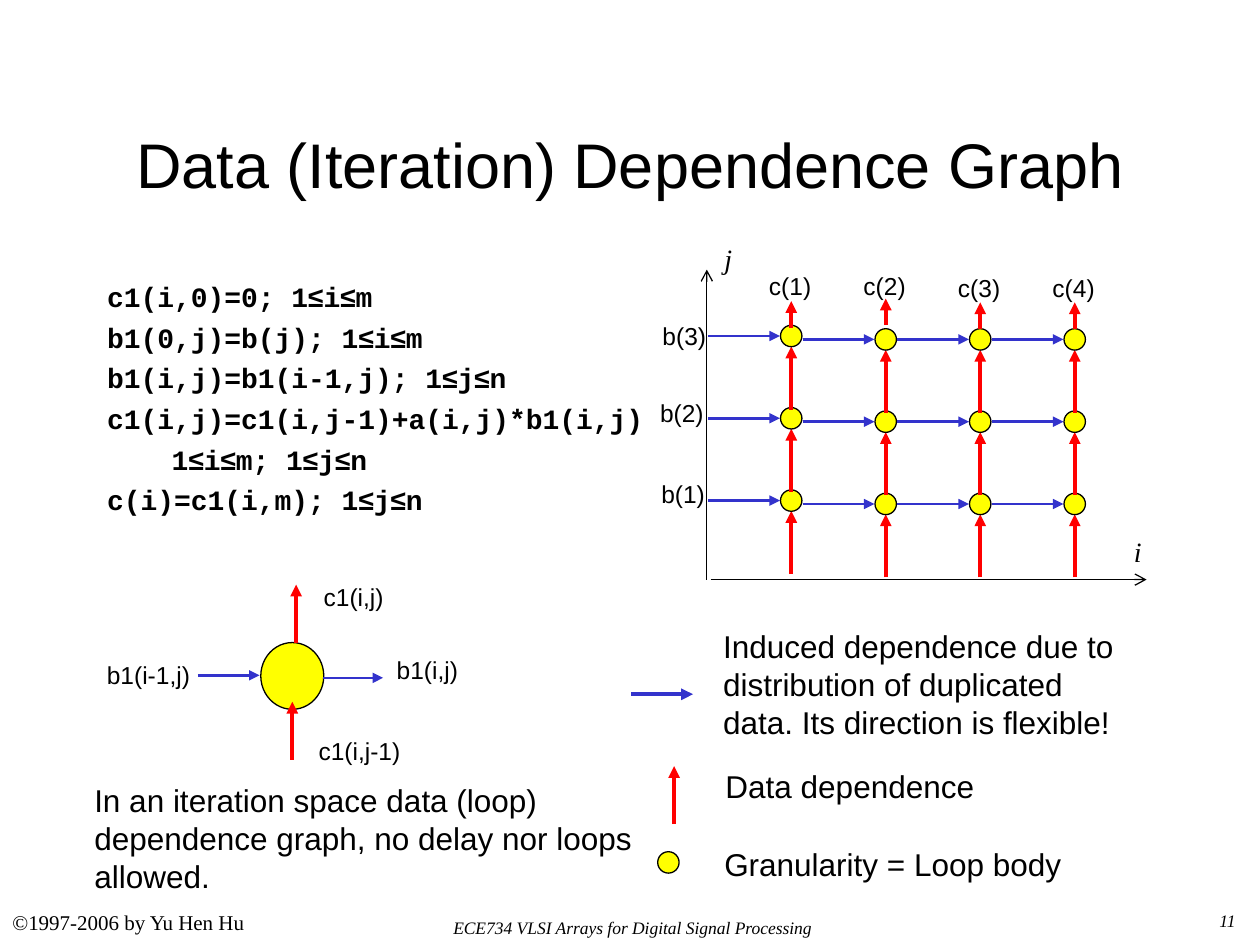
from itertools import groupby

from lxml.etree import SubElement
from pptx import Presentation
from pptx.dml.color import RGBColor as Rgb
from pptx.enum.shapes import MSO_CONNECTOR as Conn, MSO_SHAPE as Kind
from pptx.enum.text import MSO_ANCHOR as Anchor, MSO_AUTO_SIZE as Auto, PP_ALIGN as Align
from pptx.oxml.ns import qn
from pptx.util import Inches, Pt

# The slide is a grid of 100 columns and 75 rows.
COLS, ROWS = 100, 75
CELL = Inches(0.1)
BLACK, BLUE, RED, YELLOW = "000000", "3333CC", "FF0000", "FFFF00"
SERIF = "Times New Roman"
NODE = 1.7
STEP_X, STEP_Y = 7.5, 6.53

CODE = [
    "c1(i,0)=0; 1≤i≤m",
    "b1(0,j)=b(j); 1≤i≤m",
    "b1(i,j)=b1(i-1,j); 1≤j≤n",
    "c1(i,j)=c1(i,j-1)+a(i,j)*b1(i,j)",
    "\t 1≤i≤m; 1≤j≤n",
    "c(i)=c1(i,m); 1≤j≤n",
]


def grid(*cells):
    return [round(n * CELL) for n in cells]


def color(code):
    return Rgb.from_string(code)


def write(frame, lines, size=14, font="Arial", bold=False, italic=False,
          align=Align.LEFT, anchor=Anchor.TOP, wrap=True, before=0):
    """Fill a text frame, one paragraph a line; the sign ≤ is always in Arial."""
    frame.auto_size = Auto.NONE
    frame.word_wrap = wrap
    frame.vertical_anchor = anchor
    for n, line in enumerate(lines):
        para = frame.add_paragraph() if n else frame.paragraphs[0]
        para.alignment = align
        para.space_before = Pt(before)
        for sign, chars in groupby(line, lambda c: c == "≤"):
            run = para.add_run()
            run.text = "".join(chars)
            face = run.font
            face.name = "Arial" if sign else font
            face.size, face.bold, face.italic = Pt(size), bold, italic
            face.color.rgb = color(BLACK)


def label(shapes, x, y, w, h, *lines, **style):
    write(shapes.add_textbox(*grid(x, y, w, h)).text_frame, lines, **style)


def holder(shape, x, y, w, h, lines, **style):
    shape.left, shape.top, shape.width, shape.height = grid(x, y, w, h)
    write(shape.text_frame, lines, **style)


def hang(frame, indent):
    """Drop the bullets and set a hanging indent."""
    for para in frame.paragraphs:
        props = para._p.get_or_add_pPr()
        props.set("marL", str(indent))
        props.set("indent", str(-indent))
        SubElement(props, qn("a:buNone"))


def arrow(shapes, x1, y1, x2, y2, code, width, head="triangle"):
    line = shapes.add_connector(Conn.STRAIGHT, *grid(x1, y1, x2, y2))
    line.line.color.rgb = color(code)
    line.line.width = Pt(width)
    props = line._element.spPr
    SubElement(props.find(qn("a:ln")), qn("a:tailEnd"), type=head)
    SubElement(props, qn("a:effectLst"))


def dot(shapes, x, y, w=NODE, h=NODE):
    """Draw a node around its centre."""
    node = shapes.add_shape(Kind.OVAL, *grid(x - w / 2, y - h / 2, w, h))
    node.shadow.inherit = False
    node.fill.solid()
    node.fill.fore_color.rgb = color(YELLOW)
    node.line.color.rgb = color(BLACK)
    node.line.width = Pt(0.75)


def graph(shapes):
    """Draw the grid of loop bodies with its axes and labels."""
    for row in range(3):
        for col in range(4):
            x = 62.8 + col * STEP_X
            y = (40 if col else 39.73) - row * STEP_Y
            arrow(shapes, x - 6.6, y, x - 0.9, y, BLUE, 1.5)
            arrow(shapes, x, y + 5.83, x, y + 0.83, RED, 2.25)
            dot(shapes, x, y)
    arrow(shapes, 56.4, 46, 91, 46, BLACK, 0.75, "arrow")
    arrow(shapes, 56.1, 46, 56.1, 21.4, BLACK, 0.75, "arrow")
    for name, x, y in (("j", 56.5, 18.7), ("i", 89, 41.9)):
        label(shapes, x, y, 2.6, 3.7, name, size=16, font=SERIF, italic=True, wrap=False)
    for col, (tip, top) in enumerate([(23.9, 21), (23.7, 21), (24, 21.2), (24, 21.2)]):
        x = 62.8 + col * STEP_X
        arrow(shapes, x, tip + 2.1, x, tip, RED, 2.25)
        label(shapes, x - 2.75, top, 6, 3.4, f"c({col + 1})")
    for row, (x, y) in enumerate([(51.5, 37.5), (51.4, 31.1), (51.6, 25)], 1):
        label(shapes, x, y, 6, 3.4, f"b({row})")


def body(shapes):
    """Draw one loop body with its inputs and outputs."""
    dot(shapes, 23.2, 53.65, 5, 5.3)
    arrow(shapes, 15.7, 53.6, 20.6, 53.6, BLUE, 1.5)
    arrow(shapes, 25.6, 53.8, 30.4, 53.8, BLUE, 1.5)
    arrow(shapes, 23.5, 51, 23.5, 46.4, RED, 2.25)
    arrow(shapes, 23.2, 60.3, 23.2, 55.7, RED, 2.25)
    for name, x, y in (("c1(i,j-1)", 24.3, 57.9), ("c1(i,j)", 24.7, 45.7),
                       ("b1(i,j)", 30.5, 51.5), ("b1(i-1,j)", 7.5, 51.9)):
        label(shapes, x, y, 9.4, 3.4, name)


def legend(shapes):
    arrow(shapes, 50.1, 55.1, 55, 55.1, BLUE, 2.25)
    arrow(shapes, 53.5, 65.4, 53.5, 60.8, RED, 2.25)
    dot(shapes, 53.05, 68.45)
    label(shapes, 56.4, 49.3, 34.5, 10, "Induced dependence due to",
          "distribution of duplicated data. Its direction is flexible!", size=18)
    label(shapes, 56.6, 60.4, 24.4, 4, "Data dependence", size=18)
    label(shapes, 56.5, 66.6, 28.7, 4, "Granularity = Loop body", size=18, wrap=False)


def footer(shapes):
    label(shapes, 0, 71.7, 31.7, 3.3, "©1997-2006 by Yu Hen Hu", size=12, font=SERIF)
    label(shapes, 34.8, 72.3, 30.6, 2.7, "ECE734 VLSI Arrays for Digital Signal Processing",
          size=10, font=SERIF, italic=True, align=Align.RIGHT)
    label(shapes, 95.8, 71.7, 4.2, 3.3, "11", size=10, font=SERIF, italic=True)


def main():
    deck = Presentation()
    deck.slide_width, deck.slide_height = grid(COLS, ROWS)
    slide = deck.slides.add_slide(deck.slide_layouts[1])
    shapes = slide.shapes
    holder(shapes.title, 7.5, 6.7, 85, 12.5, ["Data (Iteration) Dependence Graph"],
           size=36, align=Align.CENTER, anchor=Anchor.MIDDLE)
    code = slide.placeholders[1]
    holder(code, 7.5, 21.7, 46.3, 45, CODE, size=16, font="Courier New", bold=True, before=4)
    hang(code.text_frame, Inches(0.38))
    graph(shapes.add_group_shape().shapes)
    body(shapes)
    legend(shapes)
    label(shapes, 6.5, 61.5, 45.3, 10, "In an iteration space data (loop) dependence graph, "
          "no delay nor loops allowed.", size=18)
    footer(shapes)
    deck.save("out.pptx")


if __name__ == "__main__":
    main()
